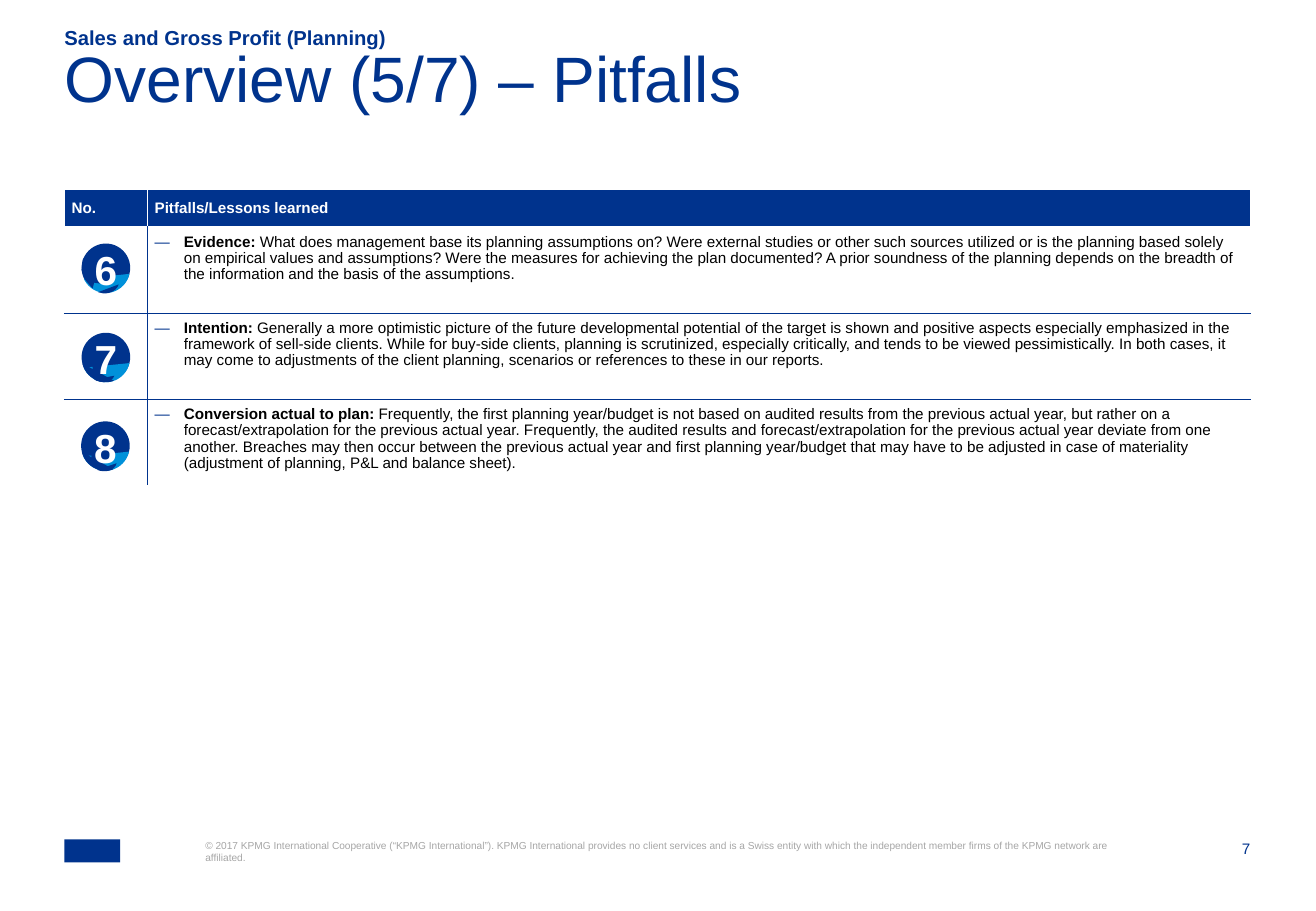
from lxml import etree
from pptx import Presentation
from pptx.dml.color import RGBColor
from pptx.enum.shapes import MSO_SHAPE
from pptx.enum.text import MSO_ANCHOR, PP_ALIGN
from pptx.oxml.ns import qn
from pptx.util import Pt

CHORD, ELLIPSE, RECT = MSO_SHAPE.CHORD, MSO_SHAPE.OVAL, MSO_SHAPE.RECTANGLE
TOP, MIDDLE, BOTTOM = MSO_ANCHOR.TOP, MSO_ANCHOR.MIDDLE, MSO_ANCHOR.BOTTOM
LEFT, CENTER, RIGHT = PP_ALIGN.LEFT, PP_ALIGN.CENTER, PP_ALIGN.RIGHT

NAVY, SKY, WHITE, BLACK, GREY = "00338D", "0091DA", "FFFFFF", "000000", "A6A6A6"
MARGIN = 38.2
CONTENT_W = 702.9
TABLE_TOP, HEADER_H, ROW_H, NO_W = 112.4, 22.3, 51.1, 49.2

PITFALLS = [
    ("Evidence: ", "What does management base its planning assumptions on? Were external studies or "
     "other such sources utilized or is the planning based solely on empirical values and assumptions? "
     "Were the measures for achieving the plan documented? A prior soundness of the planning depends on "
     "the breadth of the information and the basis of the assumptions."),
    ("Intention: ", "Generally a more optimistic picture of the future developmental potential of the "
     "target is shown and positive aspects especially emphasized in the framework of sell-side clients. "
     "While for buy-side clients, planning is scrutinized, especially critically, and tends to be viewed "
     "pessimistically. In both cases, it may come to adjustments of the client planning, scenarios or "
     "references to these in our reports."),
    ("Conversion actual to plan: ", "Frequently, the first planning year/budget is not based on audited "
     "results from the previous actual year, but rather on a forecast/extrapolation for the previous "
     "actual year. Frequently, the audited results and forecast/extrapolation for the previous actual "
     "year deviate from one another. Breaches may then occur between the previous actual year and first "
     "planning year/budget that may have to be adjusted in case of materiality (adjustment of planning, "
     "P&L and balance sheet)."),
]
FOOTER = ("© 2017 KPMG International Cooperative (“KPMG International”). KPMG International provides no "
          "client services and is a Swiss entity with which the independent member firms of the KPMG "
          "network are affiliated.")

# Digit, left, top, start angle of the dark chord, dark polygons, tilted chord (x, y, width, rotation)
BADGES = [
    ("6", 48.4, 144.4, None,
     [[(6.5, 26.6), (2.2, 21.6), (0, 15.8), (0.7, 9.4), (4.3, 4.3), (9.4, 1.4), (15.8, 0.7),
       (20.2, 7.2), (11.5, 7.9)],
      [(6.5, 4.3), (12.2, 14.4), (18, 15.1), (16.6, 24.5), (6.5, 23)]],
     (3.4, 9.7, 18, 301.1)),
    ("7", 48.4, 197.3, 70.86,
     [[(6.5, 3.6), (18.7, 4.3), (11.5, 24.5), (6.5, 24.5)]],
     (2.7, 10.1, 15.1, 306.1)),
    ("8", 48.1, 249.8, 71,
     [[(6.1, 3.6), (16.9, 4.3), (16.9, 23.8), (6.1, 24.5)]],
     (3.7, 10.8, 15.1, 298)),
]


def rgb(color):
    return RGBColor.from_string(color)


def style_run(r, size, color, bold=False):
    r.font.name = "Arial"
    r.font.size = Pt(size)
    r.font.bold = bold
    r.font.color.rgb = rgb(color)


def paint(shape, color):
    shape.shadow.inherit = False
    shape.fill.solid()
    shape.fill.fore_color.rgb = rgb(color)
    shape.line.fill.background()


def add_shape(shapes, kind, x, y, w, h, color):
    sp = shapes.add_shape(kind, Pt(x), Pt(y), Pt(w), Pt(h))
    paint(sp, color)
    return sp


def add_chord(shapes, x, y, w, h, color, start, end, rotation=0):
    """Add a chord whose angles are given in degrees."""
    sp = add_shape(shapes, CHORD, x, y, w, h, color)
    sp.adjustments[0], sp.adjustments[1] = start * 0.6, end * 0.6
    sp.rotation = rotation


def add_polygon(shapes, x, y, points, color):
    corners = [(Pt(x + dx), Pt(y + dy)) for dx, dy in points]
    builder = shapes.build_freeform(*corners[0], scale=1)
    builder.add_line_segments(corners[1:], close=True)
    paint(builder.convert_to_shape(), color)


def add_text(shapes, text, x, y, w, h, size, color, bold=False, align=LEFT, anchor=TOP,
             wrap=True, spacing=None):
    tf = shapes.add_textbox(Pt(x), Pt(y), Pt(w), Pt(h)).text_frame
    tf.margin_left = tf.margin_right = tf.margin_top = tf.margin_bottom = 0
    tf.word_wrap = wrap
    tf.vertical_anchor = anchor
    tf.text = text
    p = tf.paragraphs[0]
    p.alignment = align
    p.line_spacing = spacing
    style_run(p.runs[0], size, color, bold)


def add_badge(s, digit, x, y, dark_start, polygons, tilted):
    """Add a numbered disc with a light long shadow at its lower right."""
    shapes = s.shapes.add_group_shape().shapes
    add_shape(shapes, ELLIPSE, x, y, 28.8, 28.8, NAVY)
    add_chord(shapes, x, y, 28.8, 29.3, SKY, 13.23, 154.41 if dark_start is None else 155)
    if dark_start is not None:
        add_chord(shapes, x, y, 28.8, 29.3, NAVY, dark_start, 166.04)
    for points in polygons:
        add_polygon(shapes, x, y, points, NAVY)
    dx, dy, w, rotation = tilted
    add_chord(shapes, x + dx, y + dy, w, 20.9, NAVY, 81.95, 166.04, rotation)
    add_text(shapes, digit, x + 0.4, y + 0.9, 28, 28.8, 24, WHITE, True, CENTER, wrap=False)


def format_cell(cell, fill, **borders):
    """Set margins, fill and 1 pt borders; borders are white unless named L, R, T or B."""
    cell.margin_left = cell.margin_right = cell.margin_top = cell.margin_bottom = Pt(4.3)
    tc_pr = cell._tc.get_or_add_tcPr()
    for side in "LRTB":
        ln = etree.SubElement(tc_pr, qn(f"a:ln{side}"), w=str(Pt(1)))
        solid = etree.SubElement(ln, qn("a:solidFill"))
        etree.SubElement(solid, qn("a:srgbClr"), val=borders.get(side, WHITE))
    cell.fill.solid()
    cell.fill.fore_color.rgb = rgb(fill)


def add_dash_bullet(p):
    p_pr = p._p.get_or_add_pPr()
    p_pr.set("marL", str(Pt(17.3)))
    p_pr.set("indent", str(-Pt(17.3)))
    bullet_color = etree.SubElement(p_pr, qn("a:buClr"))
    etree.SubElement(bullet_color, qn("a:srgbClr"), val=NAVY)
    etree.SubElement(p_pr, qn("a:buFont"), typeface="Arial")
    etree.SubElement(p_pr, qn("a:buChar"), char="—")


def add_pitfall_table(s):
    height = HEADER_H + ROW_H * len(PITFALLS)
    table = s.shapes.add_table(len(PITFALLS) + 1, 2, Pt(MARGIN), Pt(TABLE_TOP),
                               Pt(CONTENT_W), Pt(height)).table
    table.horz_banding = False
    table.columns[0].width = Pt(NO_W)
    table.columns[1].width = Pt(CONTENT_W - NO_W)
    table.rows[0].height = Pt(HEADER_H)
    for cell, heading in zip(table.rows[0].cells, ("No.", "Pitfalls/Lessons learned")):
        format_cell(cell, NAVY)
        cell.vertical_anchor = MIDDLE
        cell.text = heading
        p = cell.text_frame.paragraphs[0]
        p.line_spacing = 0.95
        style_run(p.runs[0], 9, WHITE, True)

    for i, (topic, explanation) in enumerate(PITFALLS, 1):
        table.rows[i].height = Pt(ROW_H)
        above = WHITE if i == 1 else NAVY
        below = WHITE if i == len(PITFALLS) else NAVY
        number, body = table.rows[i].cells
        format_cell(number, WHITE, R=NAVY, T=above, B=below)
        format_cell(body, WHITE, L=NAVY, T=above, B=below)
        p = body.text_frame.paragraphs[0]
        add_dash_bullet(p)
        p.line_spacing = 0.95
        p.space_after = Pt(2 if i == 1 else 4)
        for text, bold in ((topic, True), (explanation, False)):
            r = p.add_run()
            r.text = text
            style_run(r, 9, BLACK, bold)


def main():
    prs = Presentation()
    prs.slide_width, prs.slide_height = Pt(780), Pt(540)
    s = prs.slides.add_slide(prs.slide_layouts[6])
    add_text(s.shapes, "Sales and Gross Profit (Planning)", MARGIN, 15.8, 676.8, 13.7, 12, NAVY,
             True, anchor=BOTTOM)
    add_text(s.shapes, "Overview (5/7) – Pitfalls", MARGIN, 35.3, CONTENT_W, 56.9, 38, NAVY,
             spacing=0.7)
    add_pitfall_table(s)
    for badge in BADGES:
        add_badge(s, *badge)
    add_shape(s.shapes, RECT, MARGIN, 497.5, 33.1, 13.7, NAVY)
    add_text(s.shapes, FOOTER, 121.7, 497.5, 539.3, 29.5, 6, GREY)
    add_text(s.shapes, "7", 710.6, 497.5, 30.5, 11.5, 9, NAVY, align=RIGHT)
    prs.save("out.pptx")


if __name__ == "__main__":
    main()
